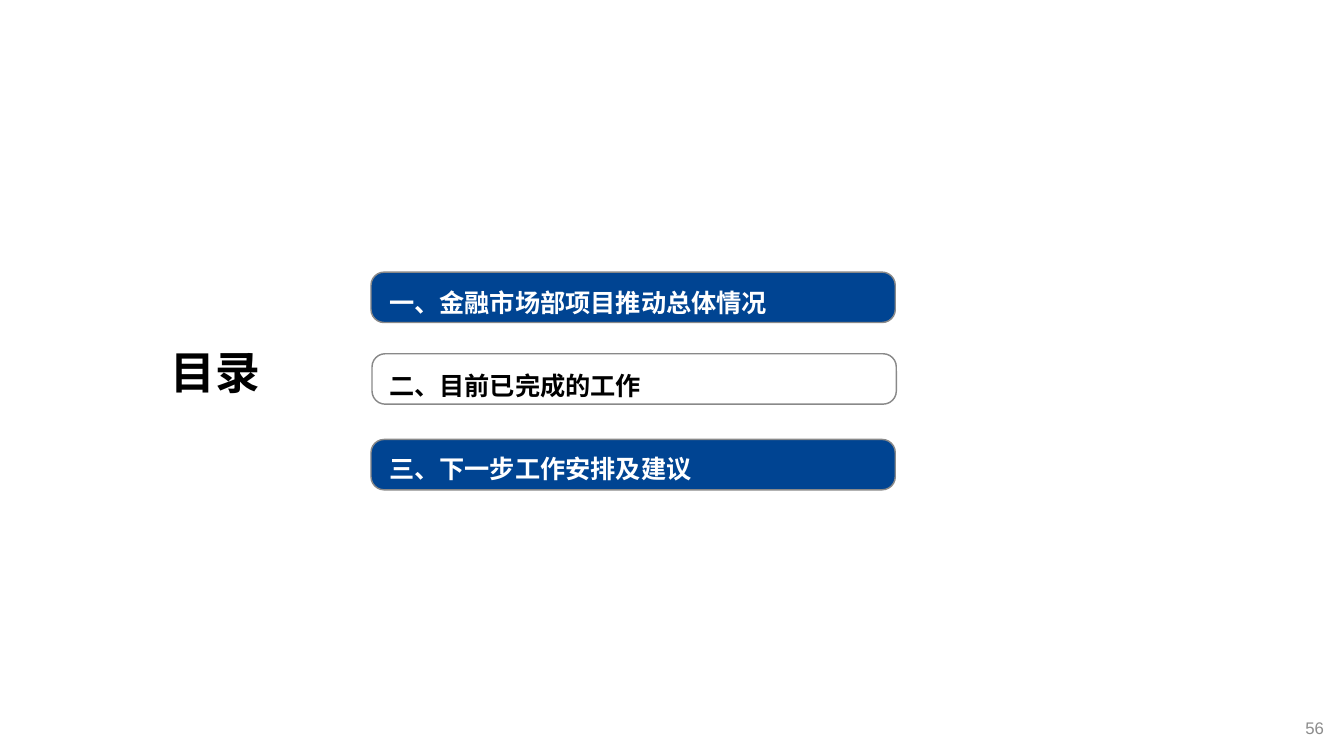
from dataclasses import dataclass

from lxml.etree import SubElement
from pptx import Presentation
from pptx.dml.color import RGBColor
from pptx.enum.shapes import MSO_SHAPE
from pptx.enum.text import MSO_ANCHOR, PP_ALIGN
from pptx.oxml.ns import qn
from pptx.slide import Slide
from pptx.util import Inches, Pt

BLUE = RGBColor(0x00, 0x44, 0x92)
GREY = RGBColor(0x89, 0x89, 0x89)
PALE = RGBColor(0x8C, 0x8C, 0x8C)
BLACK = RGBColor(0x00, 0x00, 0x00)
WHITE = RGBColor(0xFF, 0xFF, 0xFF)
HAN = "Noto Sans CJK SC"


@dataclass
class Label:
    text: str
    left: float
    top: float
    width: float
    height: float
    size: int
    color: RGBColor
    face: str = HAN
    bold: bool = True
    inset: float = 0.05
    space: float = 1.0
    align: PP_ALIGN = PP_ALIGN.LEFT
    anchor: MSO_ANCHOR = MSO_ANCHOR.TOP


@dataclass
class Entry:
    text: str
    left: float
    top: float
    base: float
    filled: bool


ENTRIES = [
    Entry("一、金融市场部项目推动总体情况", 3.68, 2.7, 2.65, True),
    Entry("二、目前已完成的工作", 3.69, 3.51, 3.47, False),
    Entry("三、下一步工作安排及建议", 3.68, 4.36, 4.3, True),
]
LABELS = [
    Label("56", 12.23, 7.06, 1, 0.33, 12, PALE, face="Arial", bold=False,
          align=PP_ALIGN.RIGHT, anchor=MSO_ANCHOR.MIDDLE),
    Label("目录", 1.59, 3.53, 1.81, 0.42, 32, BLACK, inset=0,
          anchor=MSO_ANCHOR.BOTTOM),
]


def add_label(slide: Slide, label: Label) -> None:
    box = slide.shapes.add_textbox(
        Inches(label.left), Inches(label.top),
        Inches(label.width), Inches(label.height))
    frame = box.text_frame
    frame.word_wrap = True
    frame.vertical_anchor = label.anchor
    frame.margin_top = frame.margin_bottom = Inches(label.inset)
    line = frame.paragraphs[0]
    line.text = label.text
    line.alignment = label.align
    line.line_spacing = label.space
    font = line.font
    font.name = label.face
    font.size = Pt(label.size)
    font.bold = label.bold
    font.color.rgb = label.color
    props = line._p.pPr.find(qn("a:defRPr"))
    SubElement(props, qn("a:ea")).set("typeface", label.face)


def add_entry(slide: Slide, entry: Entry) -> None:
    bar = slide.shapes.add_shape(
        MSO_SHAPE.ROUNDED_RECTANGLE, Inches(entry.left), Inches(entry.top),
        Inches(5.2), Inches(0.5))
    bar.adjustments[0] = 0.26
    bar.shadow.inherit = False
    if entry.filled:
        bar.fill.solid()
        bar.fill.fore_color.rgb = BLUE
    else:
        bar.fill.background()
    bar.line.color.rgb = GREY
    bar.line.width = Pt(1.03)
    color = WHITE if entry.filled else BLACK
    add_label(slide, Label(entry.text, 3.76, entry.base, 4.58, 0.55, 18,
                           color, space=1.5))


def main() -> None:
    deck = Presentation()
    deck.slide_width = Inches(13.33)
    deck.slide_height = Inches(7.5)
    slide = deck.slides.add_slide(deck.slide_layouts[6])
    for label in LABELS:
        add_label(slide, label)
    for entry in ENTRIES:
        add_entry(slide, entry)
    deck.save("out.pptx")


if __name__ == "__main__":
    main()
